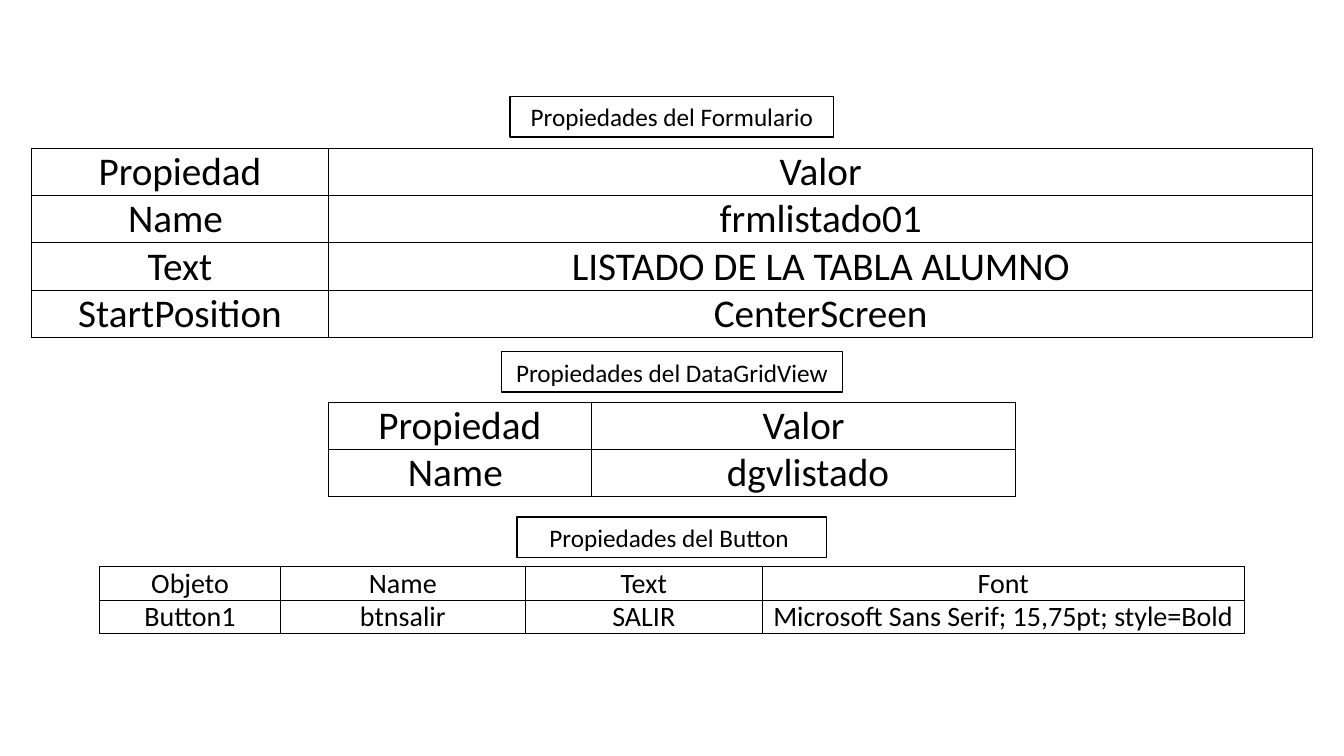
from lxml import etree
from pptx import Presentation
from pptx.dml.color import RGBColor
from pptx.enum import shapes, text
from pptx.oxml.ns import qn
from pptx.util import Inches, Pt

# Content: each section has a caption box above a property table
SECTIONS = [
    {
        "caption": "Propiedades del Formulario",
        "caption_top": 0.96, "caption_width": 3.21,
        "table_top": 1.47, "row_height": 0.47, "columns": [2.95, 9.76],
        "size": "large", "anchor": text.MSO_ANCHOR.TOP,
        "rows": [
            ("Propiedad", "Valor"),
            ("Name ", "frmlistado01"),
            ("Text", "LISTADO DE LA TABLA ALUMNO"),
            ("StartPosition", "CenterScreen"),
        ],
    },
    {
        "caption": "Propiedades del DataGridView",
        "caption_top": 3.49, "caption_width": 3.38,
        "table_top": 3.99, "row_height": 0.47, "columns": [2.61, 4.21],
        "size": "large", "anchor": text.MSO_ANCHOR.TOP,
        "rows": [
            ("Propiedad", "Valor"),
            ("Name ", " dgvlistado"),
        ],
    },
    {
        "caption": "Propiedades del Button ",
        "caption_top": 5.13, "caption_width": 3.07,
        "table_top": 5.62, "row_height": 0.33,
        "columns": [1.79, 2.43, 2.35, 4.78],
        "size": "small", "anchor": text.MSO_ANCHOR.MIDDLE,
        "rows": [
            ("Objeto", "Name", "Text", "Font"),
            ("Button1", "btnsalir", "SALIR",
             "Microsoft Sans Serif; 15,75pt; style=Bold"),
        ],
    },
]

THEME = {
    "font": "Calibri",
    "ink": RGBColor.from_string("000000"),
    "paper": RGBColor.from_string("FFFFFF"),
    "line": Pt(1),
    "caption": Pt(18),
    "large": Pt(28),
    "small": Pt(20),
}
SLIDE_WIDTH, SLIDE_HEIGHT = 13.33, 7.5
CAPTION_HEIGHT = 0.4
CELL_INSET = 0.07


def centred_left(width):
    return Inches((SLIDE_WIDTH - width) / 2)


def write(text_frame, words, size):
    paragraph = text_frame.paragraphs[0]
    paragraph.alignment = text.PP_ALIGN.CENTER
    run = paragraph.add_run()
    run.text = words
    run.font.name = THEME["font"]
    run.font.size = THEME[size]
    run.font.color.rgb = THEME["ink"]


def add_borders(cell):
    properties = cell._tc.get_or_add_tcPr()
    for index, side in enumerate(("a:lnL", "a:lnR", "a:lnT", "a:lnB")):
        line = etree.Element(qn(side), w=str(int(THEME["line"])))
        fill = etree.SubElement(line, qn("a:solidFill"))
        etree.SubElement(fill, qn("a:srgbClr"), val=str(THEME["ink"]))
        properties.insert(index, line)


def add_caption(slide, section):
    width = section["caption_width"]
    shape = slide.shapes.add_shape(
        shapes.MSO_SHAPE.RECTANGLE, centred_left(width),
        Inches(section["caption_top"]), Inches(width), Inches(CAPTION_HEIGHT))
    shape.shadow.inherit = False
    shape.fill.solid()
    shape.fill.fore_color.rgb = THEME["paper"]
    shape.line.color.rgb = THEME["ink"]
    shape.line.width = THEME["line"]
    shape.text_frame.word_wrap = True
    shape.text_frame.auto_size = text.MSO_AUTO_SIZE.SHAPE_TO_FIT_TEXT
    write(shape.text_frame, section["caption"], "caption")


def add_property_table(slide, section):
    rows, columns = section["rows"], section["columns"]
    width = sum(columns)
    table = slide.shapes.add_table(
        len(rows), len(columns), centred_left(width),
        Inches(section["table_top"]), Inches(width),
        Inches(section["row_height"] * len(rows))).table
    table.first_row = False
    table.horz_banding = False
    for column, column_width in zip(table.columns, columns):
        column.width = Inches(column_width)
    for row, values in zip(table.rows, rows):
        row.height = Inches(section["row_height"])
        for cell, value in zip(row.cells, values):
            cell.margin_left = cell.margin_right = Inches(CELL_INSET)
            cell.margin_top = cell.margin_bottom = 0
            cell.vertical_anchor = section["anchor"]
            cell.fill.background()
            add_borders(cell)
            write(cell.text_frame, value, section["size"])


def main():
    presentation = Presentation()
    presentation.slide_width = Inches(SLIDE_WIDTH)
    presentation.slide_height = Inches(SLIDE_HEIGHT)
    slide = presentation.slides.add_slide(presentation.slide_layouts[6])
    for section in SECTIONS:
        add_caption(slide, section)
        add_property_table(slide, section)
    presentation.save("out.pptx")


if __name__ == "__main__":
    main()
